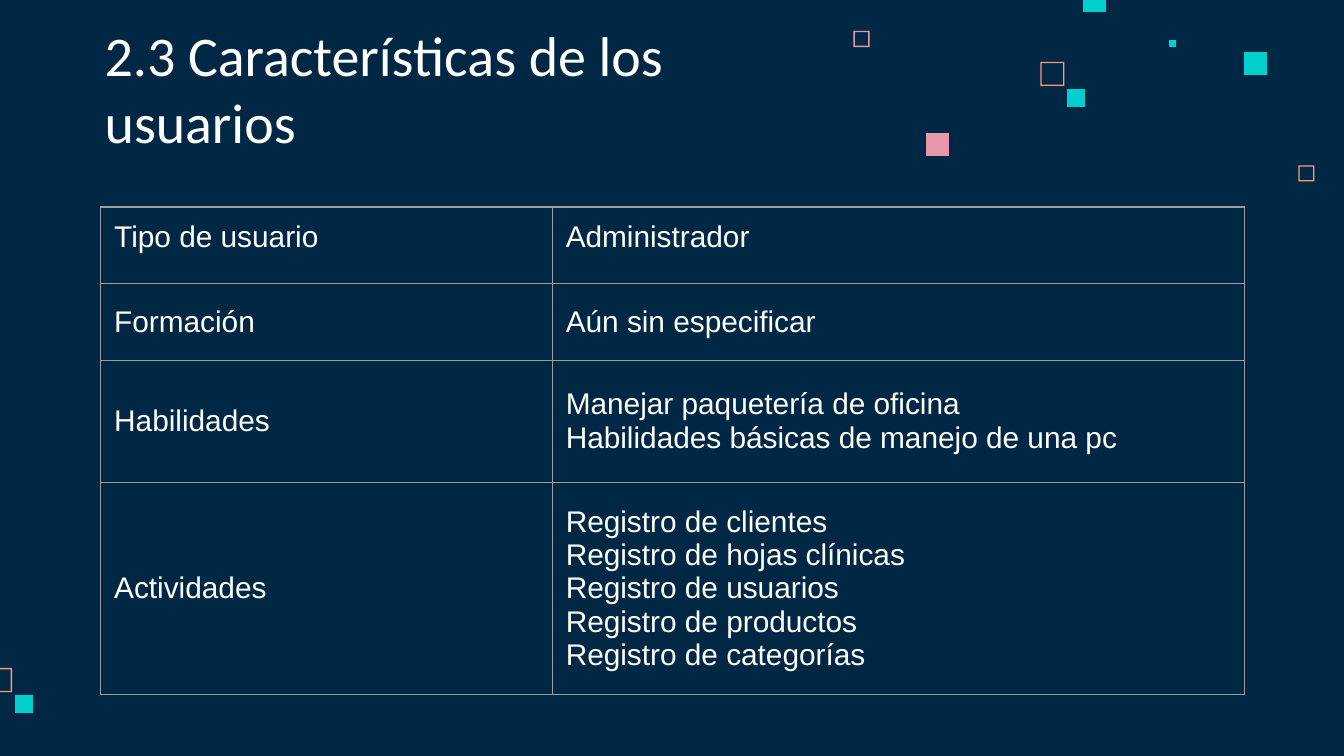
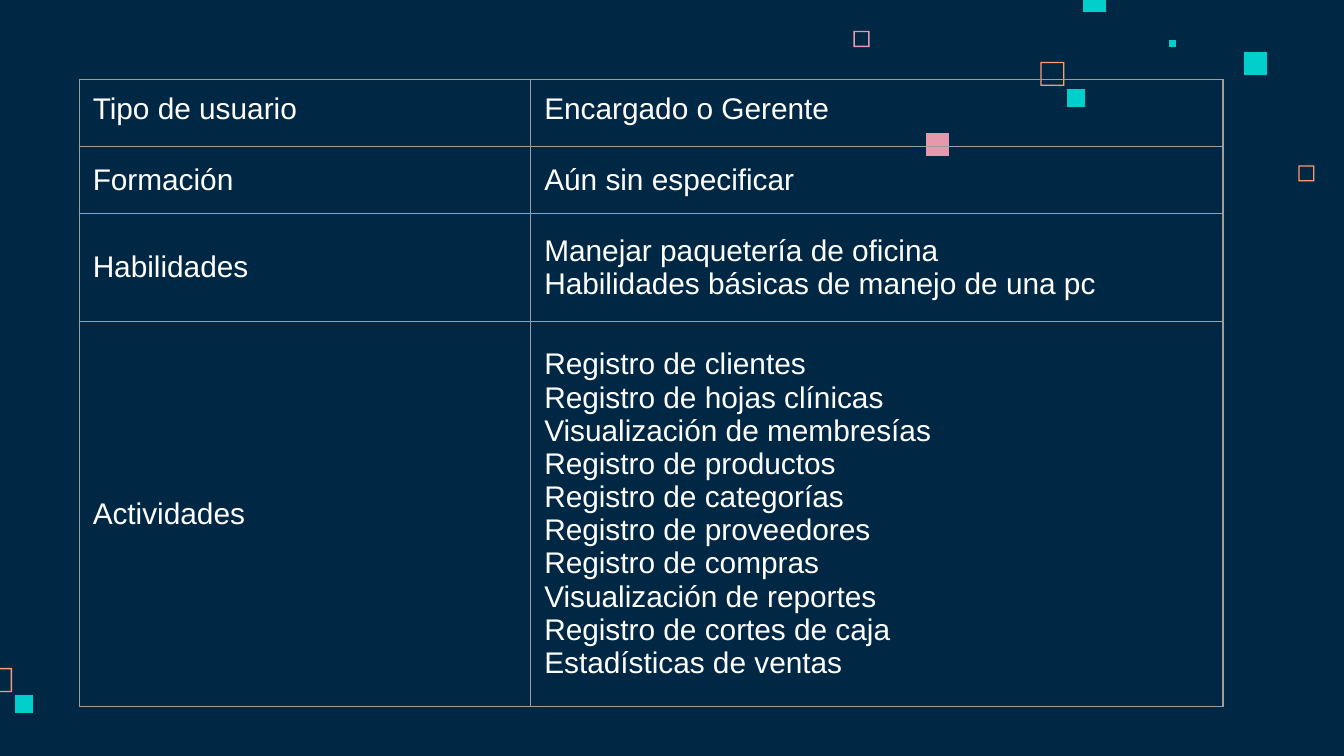
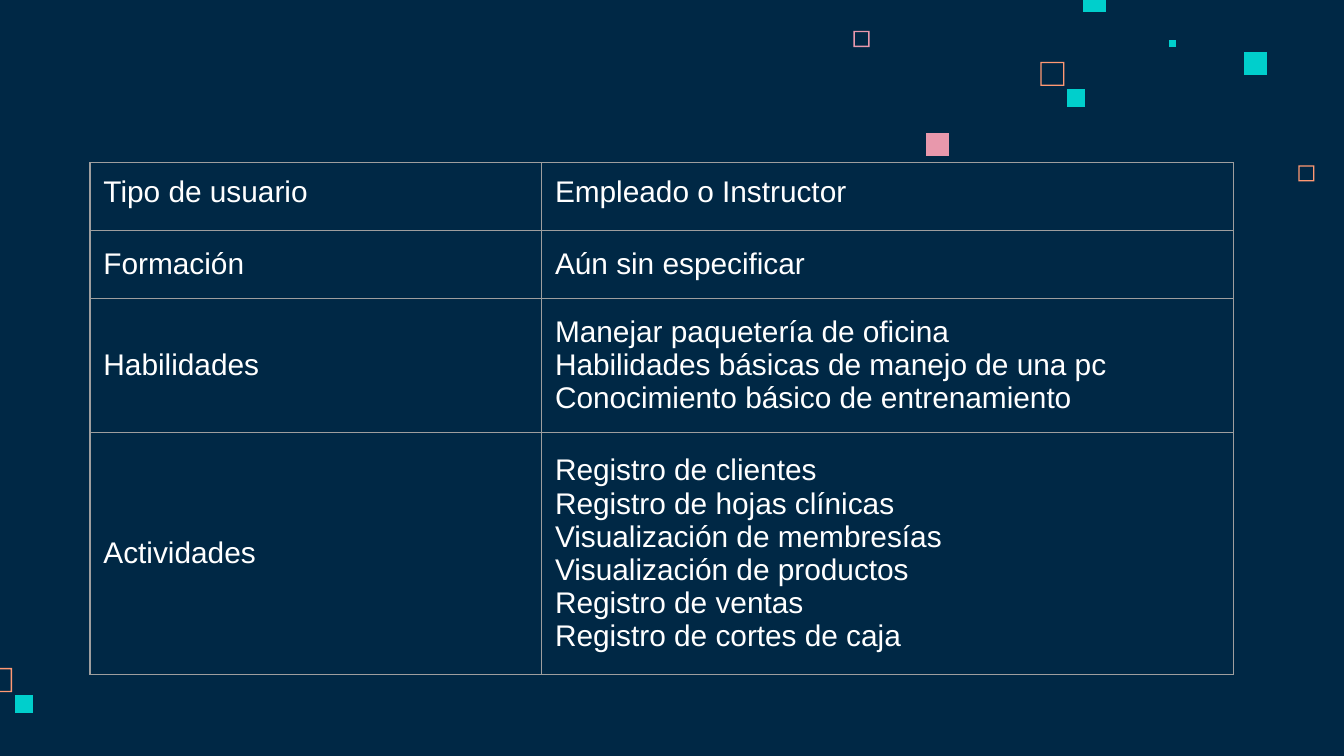
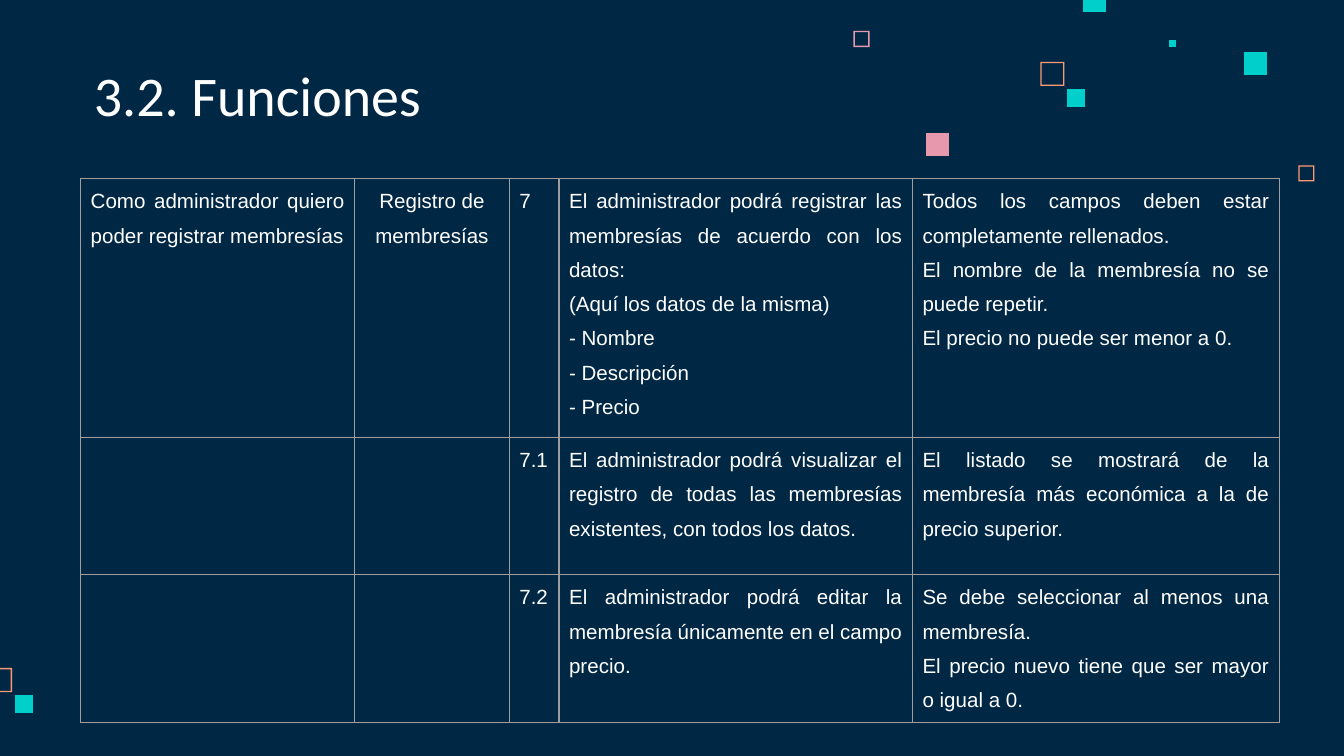
from typing import NamedTuple, Sequence

from lxml.etree import SubElement
from pptx import Presentation
from pptx.dml.color import RGBColor
from pptx.enum.text import MSO_ANCHOR as ANCHOR, PP_ALIGN as ALIGN
from pptx.oxml.ns import qn
from pptx.util import Emu, Inches, Pt

# Shared look
NAVY, WHITE, GREY = "002845", "FFFFFF", "9E9E9E"
CYAN, PINK, ORANGE = "00CFCC", "E898AC", "FF9973"
TITLE_FONT = {"name": "Calibri", "size": Pt(30)}
USER_FONT = {"name": "Arial", "size": Pt(16)}
STORY_FONT = {"name": "Arial", "size": Pt(11)}

# Grid: 100 square cells across the slide
WIDTH, HEIGHT = Inches(10), Inches(5.625)
CELL = WIDTH / 100
RING = 0.1  # thickness of the hollow squares, in cells


class Square(NamedTuple):
    x: float
    y: float
    size: float
    color: str
    hollow: bool = False


class TableSpec(NamedTuple):
    x: float
    y: float
    cols: Sequence[float]
    rows: Sequence[float]
    font: dict
    margins: dict
    paragraph: dict


SQUARES = [
    Square(96.6, 12.3, 1.2, ORANGE, True),
    Square(63.5, 2.3, 1.2, PINK, True),
    Square(77.4, 4.6, 1.8, ORANGE, True),
    Square(87, 3, 0.5, CYAN),
    Square(80.6, -0.8, 1.7, CYAN),
    Square(92.6, 3.9, 1.7, CYAN),
    Square(79.4, 6.6, 1.35, CYAN),
    Square(68.9, 9.9, 1.7, PINK),
    Square(-0.9, 49.7, 1.8, ORANGE, True),
    Square(1.1, 51.7, 1.35, CYAN),
]

USER_COLS = (33.6, 51.5)
USER_MARGINS = dict.fromkeys(
    ("margin_left", "margin_right", "margin_top", "margin_bottom"), 1)
STORY_MARGINS = {"margin_left": 0.75, "margin_right": 0.75,
                 "margin_top": 0, "margin_bottom": 0}

# Table text: a cell is a list of paragraphs
USER_LABELS = ("Tipo de usuario", "Formación", "Habilidades", "Actividades")
TRAINING = ["Aún sin especificar"]
SKILLS = ["Manejar paquetería de oficina",
          "Habilidades básicas de manejo de una pc"]
CLIENTS = ["Registro de clientes", "Registro de hojas clínicas"]

ADMIN = [
    ["Administrador"], TRAINING, SKILLS,
    CLIENTS + ["Registro de usuarios", "Registro de productos",
               "Registro de categorías"],
]
MANAGER = [
    ["Encargado o Gerente"], TRAINING, SKILLS,
    CLIENTS + ["Visualización de membresías", "Registro de productos",
               "Registro de categorías", "Registro de proveedores",
               "Registro de compras", "Visualización de reportes",
               "Registro de cortes de caja", "Estadísticas de ventas"],
]
EMPLOYEE = [
    ["Empleado o Instructor"], TRAINING,
    SKILLS + ["Conocimiento básico de entrenamiento"],
    CLIENTS + ["Visualización de membresías", "Visualización de productos",
               "Registro de ventas", "Registro de cortes de caja"],
]
STORIES = [
    [["Como administrador quiero poder registrar membresías"],
     ["Registro de membresías"],
     ["7"],
     ["El administrador podrá registrar las membresías de acuerdo con los datos:",
      "(Aquí los datos de la misma)", "- Nombre", "- Descripción", "- Precio"],
     ["Todos los campos deben estar completamente rellenados.",
      "El nombre de la membresía no se puede repetir.",
      "El precio no puede ser menor a 0."]],
    [[], [], ["7.1"],
     ["El administrador podrá visualizar el registro de todas las membresías "
      "existentes, con todos los datos."],
     ["El listado se mostrará de la membresía más económica a la de precio "
      "superior."]],
    [[], [], ["7.2"],
     ["El administrador podrá editar la membresía únicamente en el campo precio."],
     ["Se debe seleccionar al menos una membresía.",
      "El precio nuevo tiene que ser mayor o igual a 0."]],
]


def grid(n: float) -> Emu:
    return Emu(round(n * CELL))


def rgb(color: str) -> RGBColor:
    return RGBColor.from_string(color)


def apply(target, values: dict) -> None:
    for name, value in values.items():
        setattr(target, name, value)


def write(tf, lines: Sequence[str], font: dict, paragraph: dict) -> None:
    for i, line in enumerate(lines):
        p = tf.add_paragraph() if i else tf.paragraphs[0]
        apply(p, paragraph)
        r = p.add_run()
        r.text = line
        apply(r.font, font)
        r.font.color.rgb = rgb(WHITE)


def corners(x: float, y: float, size: float) -> list:
    return [(grid(a), grid(b)) for a, b in
            ((x, y), (x, y + size), (x + size, y + size), (x + size, y))]


def add_square(shapes, sq: Square):
    outer = corners(sq.x, sq.y, sq.size)
    builder = shapes.build_freeform(*outer[0])
    builder.add_line_segments(outer[1:])
    if sq.hollow:
        inner = corners(sq.x + RING, sq.y + RING, sq.size - 2 * RING)[::-1]
        builder.move_to(*inner[0])
        builder.add_line_segments(inner[1:])
    sp = builder.convert_to_shape()
    sp.shadow.inherit = False
    sp.fill.solid()
    sp.fill.fore_color.rgb = rgb(sq.color)
    sp.line.fill.background()
    return sp


def add_title(slide, text: str, x: float, y: float, w: float) -> None:
    tf = slide.shapes.add_textbox(*map(grid, (x, y, w, 6.3))).text_frame
    apply(tf, {"word_wrap": True, "vertical_anchor": ANCHOR.BOTTOM})
    apply(tf, {name: grid(n) for name, n in USER_MARGINS.items()})
    write(tf, [text], TITLE_FONT, {})


def add_borders(cell) -> None:
    tc_pr = cell._tc.get_or_add_tcPr()
    for side in ("a:lnL", "a:lnR", "a:lnT", "a:lnB"):
        ln = SubElement(tc_pr, qn(side), w=str(Pt(0.75)))
        fill = SubElement(ln, qn("a:solidFill"))
        SubElement(fill, qn("a:srgbClr"), val=GREY)


def add_table(slide, spec: TableSpec, content: list, middle_from: int) -> None:
    """Rows from middle_from on are centred vertically."""
    size = (sum(spec.cols), sum(spec.rows))
    table = slide.shapes.add_table(
        len(spec.rows), len(spec.cols),
        *map(grid, (spec.x, spec.y, *size))).table
    apply(table, {"first_row": False, "horz_banding": False})
    for col, width in zip(table.columns, spec.cols):
        col.width = grid(width)
    for i, (row, height) in enumerate(zip(table.rows, spec.rows)):
        row.height = grid(height)
        for cell, lines in zip(row.cells, content[i]):
            add_borders(cell)
            cell.fill.background()
            apply(cell, {name: grid(n) for name, n in spec.margins.items()})
            cell.vertical_anchor = ANCHOR.MIDDLE if i >= middle_from else ANCHOR.TOP
            write(cell.text_frame, lines, spec.font, spec.paragraph)


def add_user_table(slide, x: float, y: float, rows: Sequence[float],
                   values: list) -> None:
    spec = TableSpec(x, y, USER_COLS, rows, USER_FONT, USER_MARGINS, {})
    content = [[[label], value] for label, value in zip(USER_LABELS, values)]
    add_table(slide, spec, content, middle_from=1)


def main() -> None:
    prs = Presentation()
    prs.slide_width, prs.slide_height = WIDTH, HEIGHT
    layout = prs.slide_layouts[6]
    for ph in list(layout.placeholders):
        layout.shapes.element.remove(ph.element)
    admin, manager, employee, functions = (
        prs.slides.add_slide(layout) for _ in range(4))

    # Background and scattered squares, shared through the layout
    bg = layout.background.fill
    bg.solid()
    bg.fore_color.rgb = rgb(NAVY)
    for sq in SQUARES:
        layout.shapes.element.append(add_square(admin.shapes, sq).element)

    # User profiles
    add_title(admin, "2.3 Características de los usuarios", 6.8, 6.2, 58.5)
    add_user_table(admin, 7.5, 15.4, (5.7, 5.7, 9.1, 15.8), ADMIN)
    add_user_table(manager, 5.9, 5.9, (5, 5, 8, 26.7), MANAGER)
    add_user_table(employee, 6.7, 12.1, (5.05, 5.05, 9.4, 16.8), EMPLOYEE)

    # User stories
    add_title(functions, "3.2. Funciones", 6, 4.2, 59)
    spec = TableSpec(6, 13.3, (20.4, 11.5, 3.7, 26.3, 27.3), (17.85, 10.2, 10.2),
                     STORY_FONT, STORY_MARGINS,
                     {"alignment": ALIGN.JUSTIFY, "line_spacing": 1.5})
    add_table(functions, spec, STORIES, middle_from=len(STORIES))
    table = functions.shapes[-1].table
    table.cell(0, 1).text_frame.paragraphs[0].alignment = ALIGN.CENTER

    prs.save("out.pptx")


if __name__ == "__main__":
    main()
